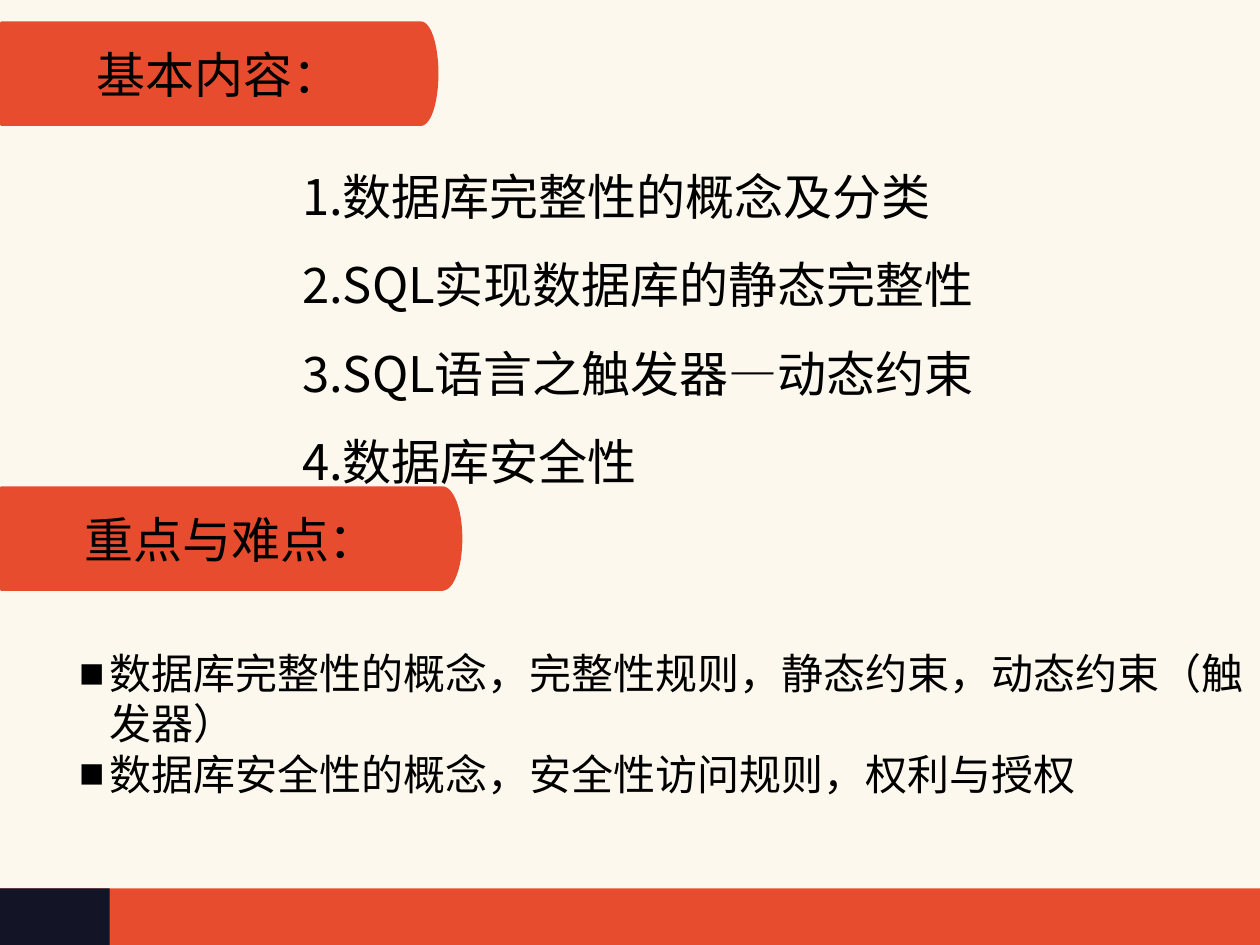
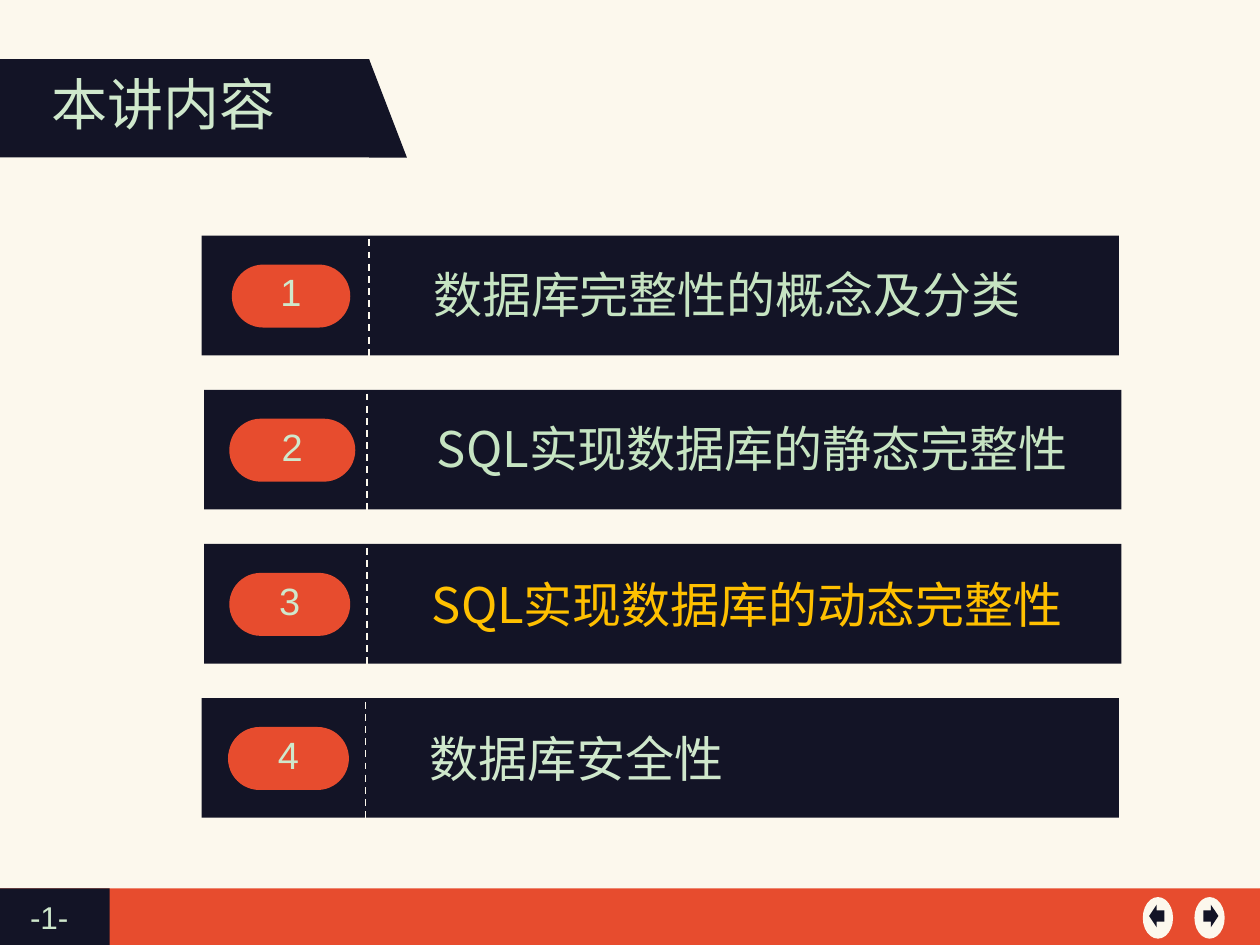
from dataclasses import dataclass
from typing import Any

from lxml import etree
from pptx import Presentation
from pptx.dml.color import RGBColor
from pptx.enum.dml import MSO_LINE
from pptx.enum.shapes import MSO_CONNECTOR, MSO_SHAPE
from pptx.enum.text import MSO_ANCHOR, PP_ALIGN
from pptx.oxml.ns import qn
from pptx.util import Inches, Pt

COLORS = {
    "cream": "FCF8ED",
    "orange": "E74C2E",
    "navy": "131426",
    "black": "000000",
    "mint": "CFE8CC",
    "green": "C6E4C2",
    "gold": "FFC000",
}
CJK_FONT = "Noto Sans CJK SC"
LATIN_FONT = "Arial"


@dataclass(frozen=True)
class TextStyle:
    size: float
    color: str
    font: str = CJK_FONT
    align: PP_ALIGN = PP_ALIGN.LEFT
    spacing: float = 1.0
    bullet: str = ""


@dataclass(frozen=True)
class Banner:
    text: str
    top: float
    width: float
    cap: float  # width of the rounded right end


@dataclass(frozen=True)
class AgendaItem:
    text: str
    left: float
    divider: float
    pill_left: float
    pill_width: float
    text_left: float
    text_drop: float
    color: str = "green"


BANNER_STYLE = TextStyle(28, "black", align=PP_ALIGN.CENTER)
TOPIC_STYLE = TextStyle(28, "black", spacing=1.5)
KEY_POINT_STYLE = TextStyle(24, "black", LATIN_FONT, bullet="■")
TITLE_STYLE = TextStyle(32, "mint", align=PP_ALIGN.CENTER)
NUMBER_STYLE = TextStyle(21.7, "mint", LATIN_FONT, PP_ALIGN.CENTER, 0.8)
PAGE_STYLE = TextStyle(18, "mint", LATIN_FONT)

BANNER_HEIGHT = 0.83
BANNERS = [
    Banner("基本内容：", 0.17, 3.48, 0.14),
    Banner("重点与难点：", 3.86, 3.67, 0.16),
]
TOPICS = [
    "1.数据库完整性的概念及分类",
    "2.SQL实现数据库的静态完整性",
    "3.SQL语言之触发器—动态约束",
    "4.数据库安全性",
]
KEY_POINTS = [
    "数据库完整性的概念，完整性规则，静态约束，动态约束（触发器）",
    "数据库安全性的概念，安全性访问规则，权利与授权",
]
AGENDA_TOP, AGENDA_BOTTOM = 1.87, 5.54
AGENDA = [
    AgendaItem("数据库完整性的概念及分类", 1.6, 2.93, 1.84, 0.94, 3.34, 0.18),
    AgendaItem("SQL实现数据库的静态完整性", 1.62, 2.91, 1.82, 1, 3.37, 0.18),
    AgendaItem("SQL实现数据库的动态完整性", 1.62, 2.91, 1.82, 0.96, 3.33, 0.19, "gold"),
    AgendaItem("数据库安全性", 1.6, 2.9, 1.81, 0.96, 3.31, 0.19, "mint"),
]


def color(name: str) -> RGBColor:
    return RGBColor.from_string(COLORS[name])


def apply(target: Any, formats: dict[str, Any]) -> None:
    for name, value in formats.items():
        setattr(target, name, value)


def paint(shape: Any, fill: str) -> None:
    shape.shadow.inherit = False
    shape.fill.solid()
    shape.fill.fore_color.rgb = color(fill)
    shape.line.fill.background()


def add_block(shapes: Any, kind: MSO_SHAPE, left: float, top: float,
              width: float, height: float, fill: str) -> Any:
    shape = shapes.add_shape(kind, Inches(left), Inches(top), Inches(width), Inches(height))
    paint(shape, fill)
    return shape


def add_bullet(paragraph: Any, character: str) -> None:
    properties = paragraph._p.get_or_add_pPr()
    hang = Inches(0.24)
    properties.set("marL", str(hang))
    properties.set("indent", str(-hang))
    bullet_font = etree.SubElement(properties, qn("a:buFont"))
    bullet_font.set("typeface", LATIN_FONT)
    etree.SubElement(properties, qn("a:buChar")).set("char", character)


def write(shape: Any, lines: list[str], style: TextStyle,
          anchor: MSO_ANCHOR = MSO_ANCHOR.MIDDLE) -> None:
    frame = shape.text_frame
    apply(frame, {"word_wrap": True, "vertical_anchor": anchor})
    for index, line in enumerate(lines):
        paragraph = frame.add_paragraph() if index else frame.paragraphs[0]
        apply(paragraph, {"alignment": style.align, "line_spacing": style.spacing})
        if style.bullet:
            add_bullet(paragraph, style.bullet)
        run = paragraph.add_run()
        run.text = line
        apply(run.font, {"size": Pt(style.size), "name": style.font})
        run.font.color.rgb = color(style.color)
        east_asian = etree.SubElement(run._r.get_or_add_rPr(), qn("a:ea"))
        east_asian.set("typeface", CJK_FONT)


def add_text(shapes: Any, left: float, top: float, width: float, height: float,
             lines: list[str], style: TextStyle) -> None:
    box = shapes.add_textbox(Inches(left), Inches(top), Inches(width), Inches(height))
    write(box, lines, style, MSO_ANCHOR.TOP)


def add_divider(shapes: Any, left: float, top: float, height: float) -> None:
    line = shapes.add_connector(MSO_CONNECTOR.STRAIGHT, Inches(left), Inches(top),
                                Inches(left), Inches(top + height))
    apply(line.line, {"width": Pt(1), "dash_style": MSO_LINE.DASH})
    line.line.color.rgb = color("cream")
    etree.SubElement(line._element.spPr, qn("a:effectLst"))


def bezier(points: list[tuple[float, float]], steps: int = 12) -> list[tuple[float, float]]:
    """Sample a cubic curve, leaving out its start point."""
    samples = []
    for step in range(1, steps + 1):
        t = step / steps
        weights = ((1 - t) ** 3, 3 * t * (1 - t) ** 2, 3 * t * t * (1 - t), t ** 3)
        samples.append(tuple(sum(w * point[axis] for w, point in zip(weights, points))
                             for axis in (0, 1)))
    return samples


def add_banner(shapes: Any, banner: Banner) -> None:
    right, top, bottom = banner.width, banner.top, banner.top + BANNER_HEIGHT
    middle, start = (top + bottom) / 2, right - banner.cap
    shoulder, reach = right - banner.cap * 0.43, BANNER_HEIGHT * 0.28
    corner = 0.01
    outline = [
        *bezier([(start, top), (shoulder, top), (right, middle - reach), (right, middle)]),
        *bezier([(right, middle), (right, middle + reach), (shoulder, bottom), (start, bottom)]),
        (corner, bottom), (0, bottom - corner), (0, top + corner),
    ]
    builder = shapes.build_freeform(Inches(corner), Inches(top))
    builder.add_line_segments([(Inches(x), Inches(y)) for x, y in [(start, top), *outline]])
    shape = builder.convert_to_shape()
    paint(shape, "orange")
    write(shape, [banner.text], BANNER_STYLE)


def add_base_slide(presentation: Any) -> Any:
    """Blank slide with the cream ground and the two-part footer band."""
    slide = presentation.slides.add_slide(presentation.slide_layouts[6])
    slide.background.fill.solid()
    slide.background.fill.fore_color.rgb = color("cream")
    for width, fill in ((10, "orange"), (0.87, "navy")):
        add_block(slide.shapes, MSO_SHAPE.RECTANGLE, 0, 7.05, width, 0.46, fill)
    return slide


def add_agenda_row(shapes: Any, number: int, top: float, item: AgendaItem) -> None:
    add_block(shapes, MSO_SHAPE.RECTANGLE, item.left, top, 7.28, 0.95, "navy")
    add_divider(shapes, item.divider, top + 0.03, 0.96)
    pill = add_block(shapes, MSO_SHAPE.ROUNDED_RECTANGLE, item.pill_left, top + 0.23,
                     item.pill_width, 0.5, "orange")
    pill.adjustments[0] = 0.5
    write(pill, [str(number)], NUMBER_STYLE)
    add_text(shapes, item.text_left, top + item.text_drop, 5.73, 0.57,
             [item.text], TextStyle(28, item.color))


def build_overview(presentation: Any) -> None:
    shapes = add_base_slide(presentation).shapes
    for banner in BANNERS:
        add_banner(shapes, banner)
    add_text(shapes, 2.3, 1.04, 7.2, 3.6, TOPICS, TOPIC_STYLE)
    add_text(shapes, 0.53, 5.09, 9.47, 1.3, KEY_POINTS, KEY_POINT_STYLE)


def build_agenda(presentation: Any) -> None:
    shapes = add_base_slide(presentation).shapes

    # Title tab
    tab = shapes.add_group_shape().shapes
    add_block(tab, MSO_SHAPE.RECTANGLE, 0, 0.47, 2.93, 0.78, "navy")
    add_block(tab, MSO_SHAPE.RIGHT_TRIANGLE, 2.93, 0.47, 0.3, 0.78, "navy")
    add_text(tab, 0.31, 0.5, 1.98, 0.64, ["本讲内容"], TITLE_STYLE)

    # Numbered rows at an equal pitch
    pitch = (AGENDA_BOTTOM - AGENDA_TOP) / (len(AGENDA) - 1)
    for index, item in enumerate(AGENDA):
        add_agenda_row(shapes, index + 1, AGENDA_TOP + index * pitch, item)

    # Page number and navigation buttons
    add_text(shapes, 0.14, 7.08, 0.64, 0.4, ["-1-"], PAGE_STYLE)
    for arrow, left, arrow_left in ((MSO_SHAPE.LEFT_ARROW, 9.07, 9.12),
                                    (MSO_SHAPE.RIGHT_ARROW, 9.48, 9.55)):
        button = shapes.add_group_shape().shapes
        add_block(button, MSO_SHAPE.OVAL, left, 7.12, 0.24, 0.33, "cream")
        add_block(button, arrow, arrow_left, 7.18, 0.12, 0.18, "navy")


def main() -> None:
    presentation = Presentation()
    apply(presentation, {"slide_width": Inches(10), "slide_height": Inches(7.5)})
    build_overview(presentation)
    build_agenda(presentation)
    presentation.save("out.pptx")


if __name__ == "__main__":
    main()
